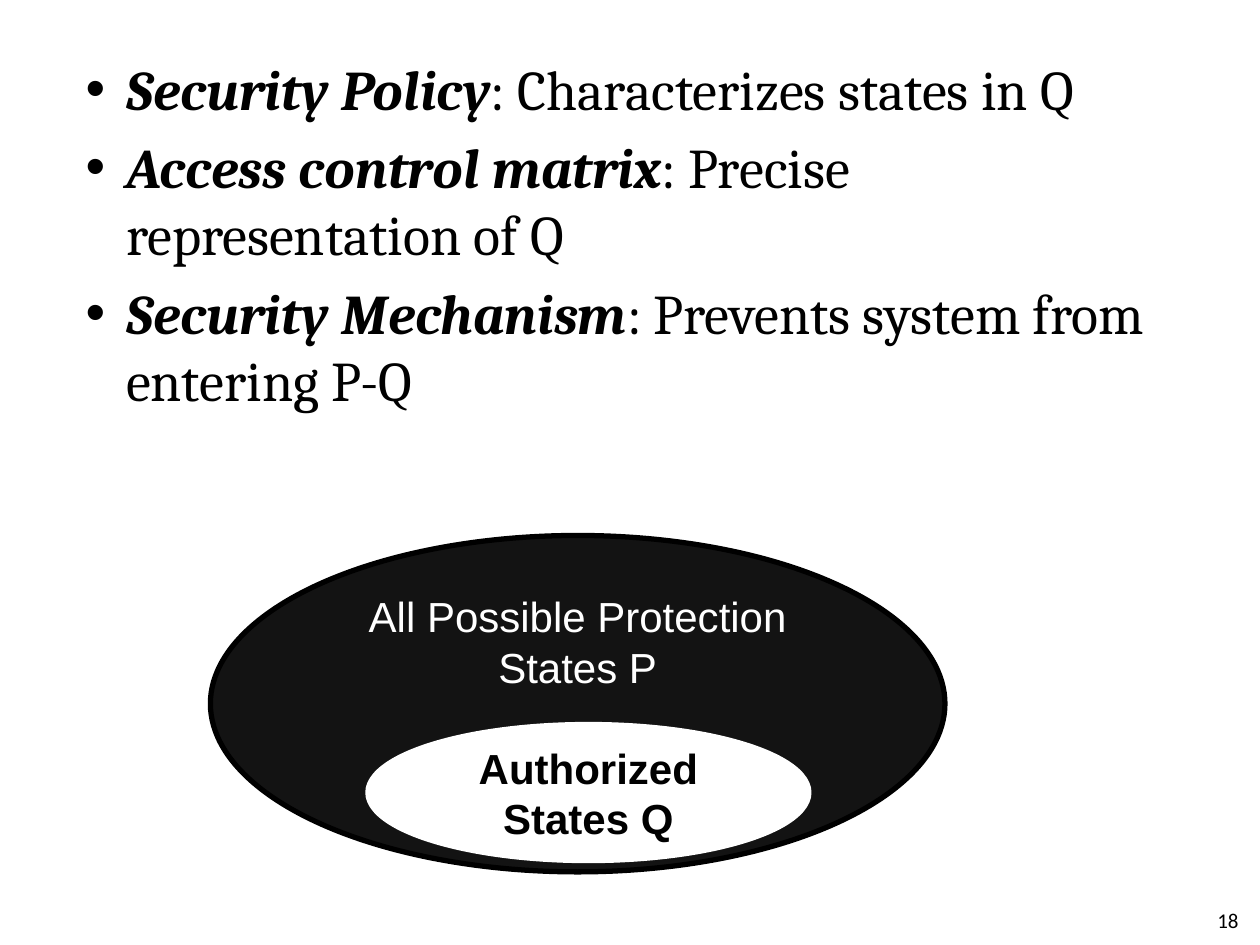
from pptx import Presentation
from pptx.dml.color import RGBColor
from pptx.enum.shapes import MSO_SHAPE as Shape
from pptx.enum.text import MSO_ANCHOR as Anchor, PP_ALIGN as Align
from pptx.oxml.xmlchemy import OxmlElement
from pptx.util import Inches, Pt

COLORS = {"black": "000000", "dark": "131313", "white": "FFFFFF"}


def color(name):
    return RGBColor.from_string(COLORS[name])


class SlideBuilder:
    """Holds the style and the current slide."""

    body_font, shape_font, number_font = "Cambria", "Arial", "Calibri"
    bullet_indent = Inches(0.32)

    def __init__(self, deck):
        self.page = deck.slides.add_slide(deck.slide_layouts[1])
        title = self.page.shapes.title
        title.element.getparent().remove(title.element)

    def place(self, box, left, top, width, height):
        box.left, box.top = Inches(left), Inches(top)
        box.width, box.height = Inches(width), Inches(height)

    def add_span(self, para, text, font, size, ink="black", bold=False, italic=False):
        span = para.add_run()
        span.text = text
        span.font.name, span.font.size = font, Pt(size)
        span.font.bold, span.font.italic = bold, italic
        span.font.color.rgb = color(ink)

    def set_bullet(self, para):
        props = para._p.get_or_add_pPr()
        props.set("marL", str(self.bullet_indent))
        props.set("indent", str(-self.bullet_indent))
        bullet = OxmlElement("a:buChar")
        bullet.set("char", "•")
        props.append(bullet)

    def definitions(self, items, *area):
        body = self.page.placeholders[1]
        self.place(body, *area)
        frame = body.text_frame
        for index, (term, meaning) in enumerate(items):
            para = frame.add_paragraph() if index else frame.paragraphs[0]
            para.space_before = Pt(6.4)
            self.set_bullet(para)
            self.add_span(para, term, self.body_font, 32, bold=True, italic=True)
            self.add_span(para, f": {meaning}", self.body_font, 32)

    def ellipse(self, text, area, fill, line, ink, anchor, bold=False):
        oval = self.page.shapes.add_shape(Shape.OVAL, *map(Inches, area))
        oval.shadow.inherit = False
        oval.fill.solid()
        oval.fill.fore_color.rgb = color(fill)
        oval.line.color.rgb = color(line)
        oval.line.width = Pt(3)
        frame = oval.text_frame
        frame.word_wrap = True
        frame.vertical_anchor = anchor
        para = frame.paragraphs[0]
        para.alignment = Align.CENTER
        para.space_before = Pt(12)
        self.add_span(para, text, self.shape_font, 24, ink, bold)

    def page_number(self, text, *area):
        box = self.page.shapes.add_textbox(*map(Inches, area))
        frame = box.text_frame
        frame.word_wrap = True
        frame.vertical_anchor = Anchor.MIDDLE
        frame.margin_left = frame.margin_right = 0
        frame.margin_top = frame.margin_bottom = 0
        para = frame.paragraphs[0]
        para.alignment = Align.RIGHT
        self.add_span(para, text, self.number_font, 12)


def main():
    deck = Presentation()
    deck.slide_width, deck.slide_height = Inches(10), Inches(7.5)
    slide = SlideBuilder(deck)

    # Definitions
    slide.definitions([
        ("Security Policy", "Characterizes states in Q"),
        ("Access control matrix", "Precise representation of Q"),
        ("Security Mechanism", "Prevents system from entering P-Q"),
    ], 0.58, 0.38, 9, 5.2)

    # Authorized states inside all protection states
    slide.ellipse("All Possible Protection States P", (1.67, 4.25, 5.83, 2.67),
                  "dark", "black", "white", Anchor.TOP)
    slide.ellipse("Authorized States Q", (2.92, 5.75, 3.5, 1.08),
                  "white", "white", "black", Anchor.MIDDLE, bold=True)

    # Page number
    slide.page_number("18", 7.5, 7.1, 2.33, 0.4)

    deck.save("out.pptx")


if __name__ == "__main__":
    main()
